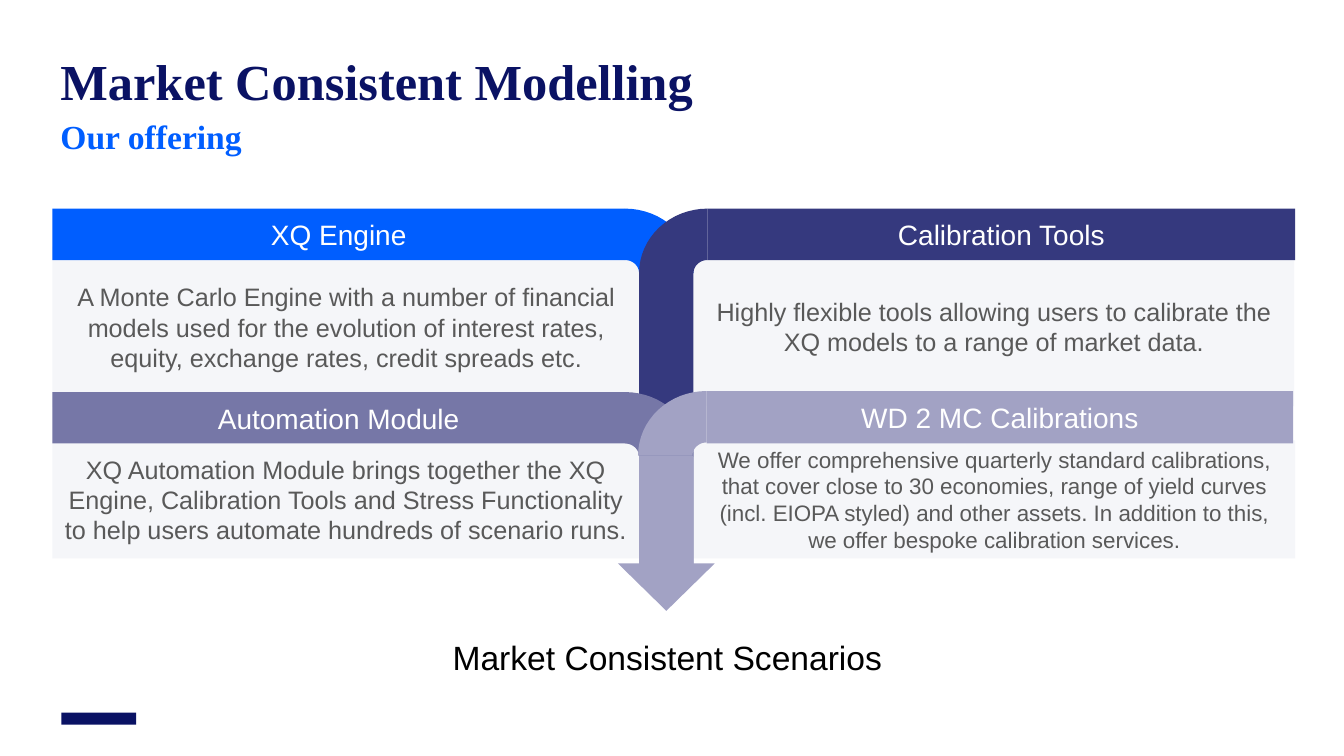
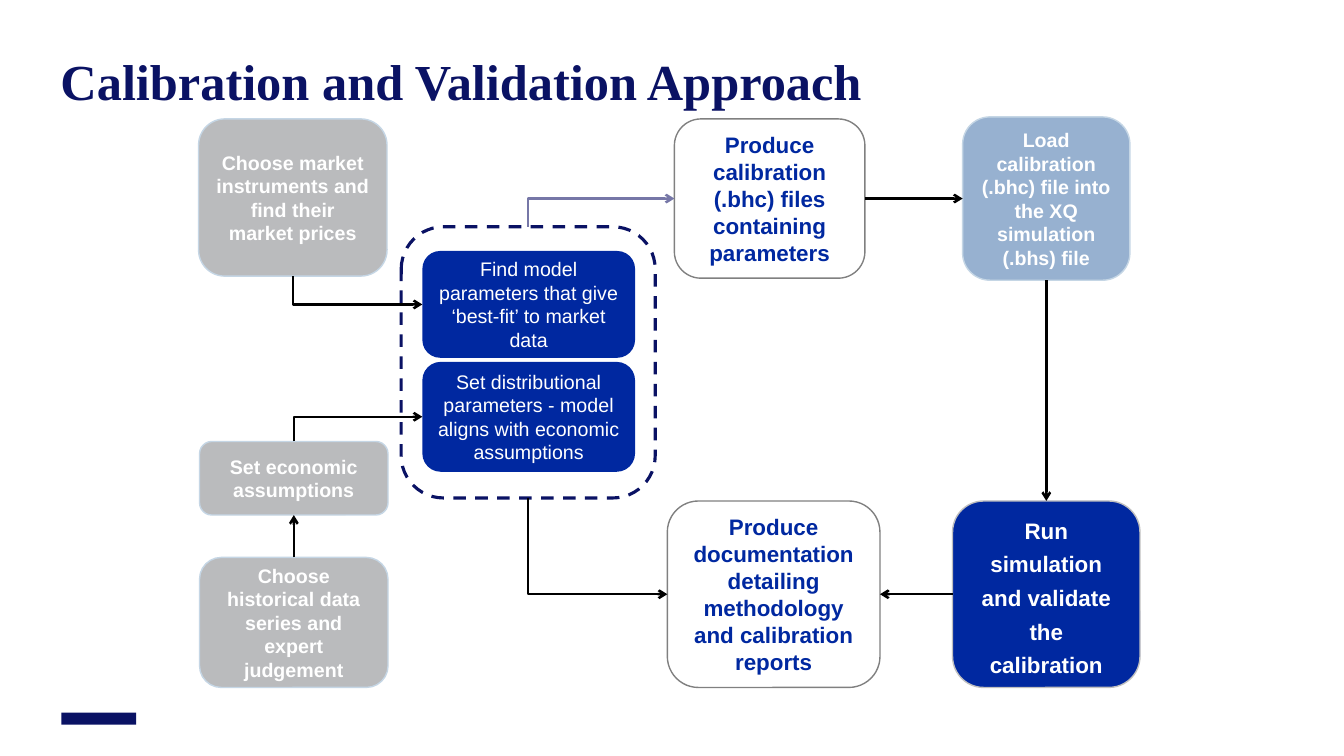
"""Build two slides on market consistent modelling, its tools and its calibration process."""
import dataclasses
import math
import typing

import lxml.etree
import pptx
import pptx.dml.color
import pptx.enum.dml
import pptx.enum.shapes
import pptx.enum.text
import pptx.oxml.ns
import pptx.shapes.base
import pptx.shapes.connector
import pptx.slide
import pptx.util

SHAPE = pptx.enum.shapes.MSO_SHAPE
ALIGN = pptx.enum.text.PP_ALIGN
ANCHOR = pptx.enum.text.MSO_ANCHOR
COLUMNS, ROWS = 133.33, 75
TOP, LEFT, BOTTOM, RIGHT = range(4)


@dataclasses.dataclass(frozen=True)
class Theme:
    ink: str = "0A1264"
    accent: str = "005EFF"
    royal: str = "0028A0"
    indigo: str = "35397E"
    mauve: str = "7677A7"
    lilac: str = "A2A2C4"
    panel: str = "F5F6F9"
    sky: str = "97B1D0"
    silver: str = "BABBBD"
    pale_edge: str = "C5D6E5"
    light_edge: str = "BFBFBF"
    grey_edge: str = "808080"
    body: str = "595959"
    white: str = "FFFFFF"
    black: str = "000000"
    serif: str = "Times New Roman"
    sans: str = "Arial"
    title_size: int = 36
    subtitle_size: int = 24
    heading_size: int = 20
    body_size: int = 18
    note_size: int = 16
    small_size: int = 14


THEME = Theme()


class Area(typing.NamedTuple):
    left: float
    top: float
    width: float
    height: float


@dataclasses.dataclass(frozen=True)
class Text:
    words: str
    size: int
    color: str = THEME.white
    bold: bool = False
    font: str = THEME.sans
    align: ALIGN = ALIGN.CENTER
    anchor: ANCHOR = ANCHOR.MIDDLE
    spacing: typing.Any = None
    flush: bool = False


@dataclasses.dataclass(frozen=True)
class Edge:
    color: str
    width: float = 1
    dash: typing.Any = None


@dataclasses.dataclass(frozen=True)
class Tool:
    panel: Area
    band: Area
    color: str
    heading: str
    words: str
    size: int = THEME.body_size


@dataclasses.dataclass(frozen=True)
class Node:
    area: Area
    text: typing.Optional[Text] = None
    fill: typing.Optional[str] = None
    edge: typing.Optional[Edge] = None


class Link(typing.NamedTuple):
    start: str
    start_side: int
    end: str
    end_side: int
    color: str = THEME.black


def cells(count: float) -> pptx.util.Emu:
    """Turn a number of grid cells, a tenth of an inch each, into a length."""
    return pptx.util.Emu(round(pptx.util.Inches(count / 10)))


def rgb(color: str) -> pptx.dml.color.RGBColor:
    """Return the colour for a hexadecimal value."""
    return pptx.dml.color.RGBColor.from_string(color)


def write(box: pptx.shapes.base.BaseShape, text: Text) -> None:
    """Fill a box with one formatted paragraph."""
    frame = box.text_frame
    frame_format = {"word_wrap": True, "vertical_anchor": text.anchor}
    if text.flush:
        frame_format |= {f"margin_{side}": 0 for side in ("left", "top", "right", "bottom")}
    para = frame.paragraphs[0]
    span = para.add_run()
    span.text = text.words
    formats = (
        (frame, frame_format),
        (para, {"alignment": text.align, "line_spacing": text.spacing}),
        (span.font, {"name": text.font, "size": pptx.util.Pt(text.size), "bold": text.bold}),
    )
    for target, values in formats:
        for name, value in values.items():
            setattr(target, name, value)
    span.font.color.rgb = rgb(text.color)


def paint(shape: pptx.shapes.base.BaseShape, fill: typing.Optional[str] = None,
          edge: typing.Optional[Edge] = None) -> None:
    """Give a shape its fill and outline, without a shadow."""
    shape.shadow.inherit = False
    if fill:
        shape.fill.solid()
        shape.fill.fore_color.rgb = rgb(fill)
    else:
        shape.fill.background()
    if edge:
        shape.line.color.rgb = rgb(edge.color)
        shape.line.width = pptx.util.Pt(edge.width)
        shape.line.dash_style = edge.dash
    else:
        shape.line.fill.background()


def add_box(page: pptx.slide.Slide, area: Area, fill: typing.Optional[str] = None,
            text: typing.Optional[Text] = None, edge: typing.Optional[Edge] = None,
            kind: SHAPE = SHAPE.RECTANGLE) -> pptx.shapes.base.BaseShape:
    """Draw a preset shape with optional text."""
    box = page.shapes.add_shape(kind, *map(cells, area))
    paint(box, fill, edge)
    if text:
        write(box, text)
    return box


def add_label(page: pptx.slide.Slide, area: Area, text: Text) -> None:
    """Draw a plain text box."""
    write(page.shapes.add_textbox(*map(cells, area)), text)


def add_page(deck: typing.Any, title: str) -> pptx.slide.Slide:
    """Add a blank slide with the shared title and footer mark."""
    page = deck.slides.add_slide(deck.slide_layouts[6])
    add_label(page, Area(6, 6, 121.3, 4.8), Text(
        title, THEME.title_size, THEME.ink, True, THEME.serif, ALIGN.LEFT, ANCHOR.TOP,
        pptx.util.Pt(THEME.title_size), True))
    add_box(page, Area(6.1, 70.7, 7.4, 1.2), THEME.ink)
    return page


def add_elbow(page: pptx.slide.Slide, center: float, base: float, side: int, color: str) -> None:
    """Draw the quarter ring that bends a band down into the stem."""
    steps = 16
    angles = [math.pi / 2 * step / steps for step in range(steps + 1)]

    def arc(across: float, up: float) -> list:
        return [(cells(center + side * across * math.sin(angle)),
                 cells(base - up * math.cos(angle))) for angle in angles]

    points = arc(6.8, 6.4) + arc(1.4, 1.3)[::-1]
    builder = page.shapes.build_freeform(*points[0], scale=1.0)
    builder.add_line_segments(points[1:], close=True)
    paint(builder.convert_to_shape(), color)


def add_link(page: pptx.slide.Slide, boxes: dict, link: Link) -> None:
    """Join two boxes with a straight arrow or one that bends once."""
    kinds = pptx.enum.shapes.MSO_CONNECTOR
    bent = link.end_side == LEFT and link.start_side in (TOP, BOTTOM)
    line = page.shapes.add_connector(kinds.ELBOW if bent else kinds.STRAIGHT, 0, 0, 0, 0)
    line.begin_connect(boxes[link.start], link.start_side)
    line.end_connect(boxes[link.end], link.end_side)
    properties = line.element.spPr
    if bent:
        bend_down_or_up(line, link.start_side == BOTTOM)
    line.line.color.rgb = rgb(link.color)
    line.line.width = pptx.util.Pt(1.75)
    stroke = properties.find(pptx.oxml.ns.qn("a:ln"))
    lxml.etree.SubElement(stroke, pptx.oxml.ns.qn("a:tailEnd"), type="arrow")
    lxml.etree.SubElement(properties, pptx.oxml.ns.qn("a:effectLst"))


def bend_down_or_up(line: pptx.shapes.connector.Connector, down: bool) -> None:
    """Make an elbow leave vertically and arrive horizontally."""
    left, top, width, height = line.left, line.top, line.width, line.height
    shift = (width - height) // 2
    values = {"left": left + shift, "top": top - shift, "width": height, "height": width}
    for name, value in values.items():
        setattr(line, name, pptx.util.Emu(value))
    properties = line.element.spPr
    turn = {"rot": "16200000" if down else "5400000", "flipH": "1", "flipV": "0" if down else "1"}
    for name, value in turn.items():
        properties.find(pptx.oxml.ns.qn("a:xfrm")).set(name, value)
    properties.find(pptx.oxml.ns.qn("a:prstGeom")).set("prst", "bentConnector2")


def add_offering(deck: typing.Any) -> None:
    """Draw the four tools that flow into the scenarios."""
    page = add_page(deck, "Market Consistent Modelling")
    add_label(page, Area(6, 12.3, 121.3, 3.2), Text(
        "Our offering", THEME.subtitle_size, THEME.accent, True, THEME.serif,
        ALIGN.LEFT, ANCHOR.TOP, 0.8, True))
    add_label(page, Area(21.2, 61.8, 90, 6.7), Text(
        "Market Consistent Scenarios", THEME.subtitle_size, THEME.black))
    tools = (
        Tool(Area(5.2, 24.5, 58.3, 15.9), Area(5.2, 20.7, 56.8, 5.1), THEME.accent, "XQ Engine",
             "A Monte Carlo Engine with a number of financial models used for the evolution of "
             "interest rates, equity, exchange rates, credit spreads etc."),
        Tool(Area(68.8, 24.5, 59.6, 15.8), Area(70.2, 20.7, 58.3, 5.1), THEME.indigo,
             "Calibration Tools",
             "Highly flexible tools allowing users to calibrate the XQ models to a range of "
             "market data."),
        Tool(Area(5.2, 43.7, 58.2, 11.7), Area(5.2, 38.9, 56.8, 5.1), THEME.mauve,
             "Automation Module",
             "XQ Automation Module brings together the XQ Engine, Calibration Tools and Stress "
             "Functionality to help users automate hundreds of scenario runs."),
        Tool(Area(68.8, 43.7, 59.7, 11.7), Area(70.1, 38.8, 58.2, 5.2), THEME.lilac,
             "WD 2 MC Calibrations",
             "We offer comprehensive quarterly standard calibrations, that cover close to 30 "
             "economies, range of yield curves (incl. EIOPA styled) and other assets. In "
             "addition to this, we offer bespoke calibration services.", THEME.note_size),
    )
    for tool in tools:
        add_box(page, tool.panel, THEME.panel, Text(tool.words, tool.size, THEME.body))
    for tool in tools:
        band = tool.band
        on_left = band.left < COLUMNS / 2
        base = band.top + 6.4
        if not on_left:
            add_box(page, Area(63.4, base, 5.4, 56 - base), tool.color)
        add_elbow(page, band.left + band.width if on_left else band.left, base,
                  1 if on_left else -1, tool.color)
        add_box(page, band, tool.color, Text(tool.heading, THEME.heading_size))
    head = add_box(page, Area(61.3, 55.9, 9.6, 4.7), THEME.lilac, kind=SHAPE.ISOSCELES_TRIANGLE)
    head.rotation = 180


def add_approach(deck: typing.Any) -> None:
    """Draw the calibration and validation flow chart."""
    page = add_page(deck, "Calibration and Validation Approach")
    pale, grey = Edge(THEME.pale_edge), Edge(THEME.grey_edge)
    small, note = THEME.small_size, THEME.note_size
    nodes = {
        "fit": Node(Area(41.9, 24.9, 21.1, 10.6), Text(
            "Find model parameters that give ‘best-fit’ to market data", small), THEME.royal),
        "prices": Node(Area(19.7, 11.8, 18.7, 15.6), Text(
            "Choose market instruments and find their market prices", small, bold=True),
            THEME.silver, pale),
        "files": Node(Area(66.9, 11.8, 18.9, 15.8), Text(
            "Produce calibration (.bhc) files containing parameters", note, THEME.royal, True),
            edge=grey),
        "load": Node(Area(95.5, 11.6, 16.6, 16.2), Text(
            "Load calibration (.bhc) file into the XQ simulation (.bhs) file", small, bold=True),
            THEME.sky, pale),
        "run": Node(Area(94.5, 49.7, 18.6, 18.5), Text(
            "Run simulation and validate the calibration", note, bold=True,
            spacing=pptx.util.Pt(24)), THEME.royal, Edge(THEME.light_edge)),
        "reports": Node(Area(66.2, 49.7, 21.1, 18.5), Text(
            "Produce documentation detailing methodology and calibration reports", note,
            THEME.royal, True), edge=grey),
        "economy": Node(Area(19.8, 43.8, 18.7, 7.3), Text(
            "Set economic assumptions", small, bold=True), THEME.silver, pale),
        "history": Node(Area(19.8, 55.3, 18.7, 12.9), Text(
            "Choose historical data series and expert judgement", small, bold=True),
            THEME.silver, pale),
        "distribution": Node(Area(41.9, 35.9, 21.1, 10.9), Text(
            "Set distributional parameters - model aligns with economic assumptions", small,
            flush=True), THEME.royal),
        "model": Node(Area(39.8, 22.5, 25.2, 26.9), edge=Edge(
            THEME.ink, 2.25, pptx.enum.dml.MSO_LINE.DASH)),
    }
    boxes = {name: add_box(page, node.area, node.fill, node.text, node.edge,
                           SHAPE.ROUNDED_RECTANGLE) for name, node in nodes.items()}
    for link in (
        Link("prices", BOTTOM, "fit", LEFT),
        Link("model", TOP, "files", LEFT, THEME.mauve),
        Link("files", RIGHT, "load", LEFT),
        Link("model", BOTTOM, "reports", LEFT),
        Link("load", BOTTOM, "run", TOP),
        Link("run", LEFT, "reports", RIGHT),
        Link("economy", TOP, "distribution", LEFT),
        Link("history", TOP, "economy", BOTTOM),
    ):
        add_link(page, boxes, link)


def main() -> None:
    """Build and save the deck."""
    deck = pptx.Presentation()
    deck.slide_width, deck.slide_height = cells(COLUMNS), cells(ROWS)
    add_offering(deck)
    add_approach(deck)
    deck.save("out.pptx")


if __name__ == "__main__":
    main()
